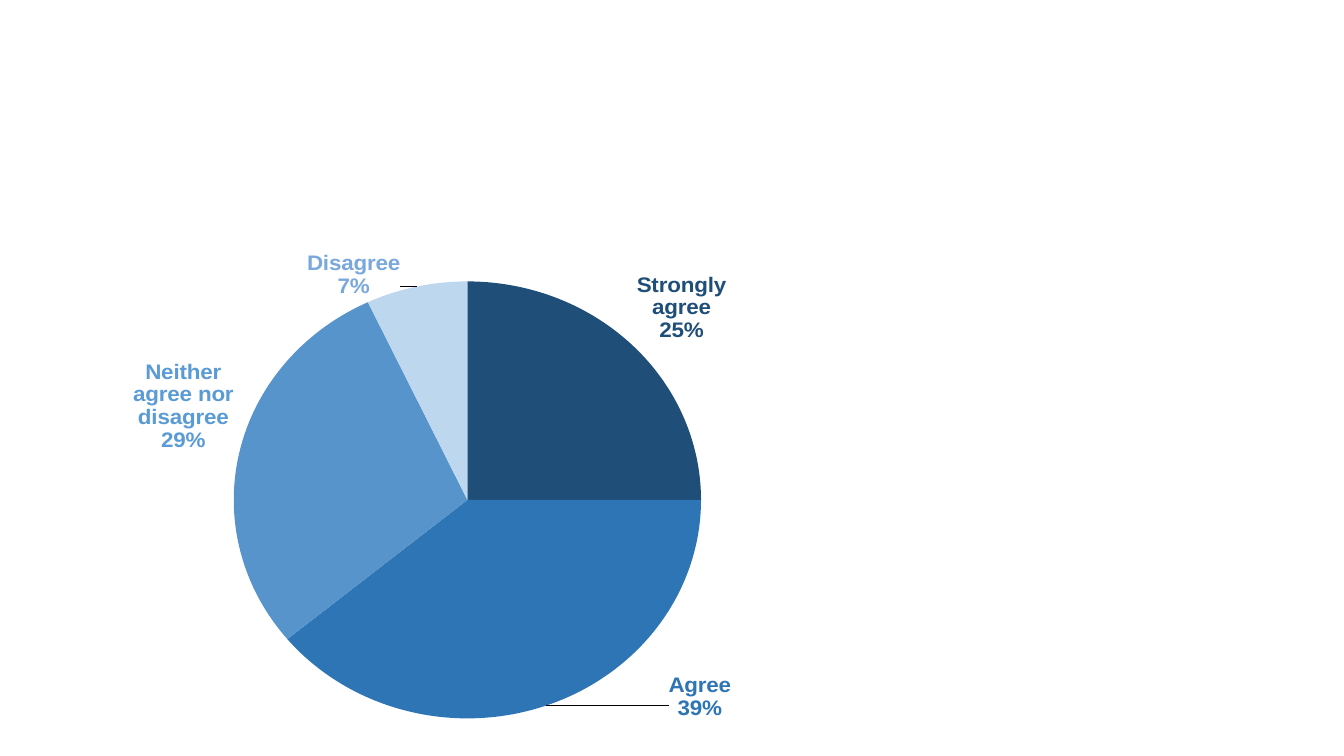
from lxml import etree
from pptx import Presentation
from pptx.chart.data import CategoryChartData
from pptx.dml.color import RGBColor
from pptx.enum import chart as charts
from pptx.oxml import parse_xml
from pptx.oxml.ns import nsdecls, qn
from pptx.util import Inches, Pt

NAVY = RGBColor(0x1F, 0x4E, 0x79)
BLUE = RGBColor(0x2E, 0x75, 0xB6)
MID_BLUE = RGBColor(0x56, 0x94, 0xCB)
PALE_BLUE = RGBColor(0xBD, 0xD7, 0xEE)
ICE_BLUE = RGBColor(0xDE, 0xEB, 0xF7)
LABEL_BLUE = RGBColor(0x5B, 0x9B, 0xD5)
SOFT_BLUE = RGBColor(0x7A, 0xA8, 0xDC)
BLACK = RGBColor(0, 0, 0)

# Answer, percentage, slice colour, label colour, label shift (fractions of the chart)
ANSWERS = [
    ("Strongly agree", 25, NAVY, NAVY, None),
    ("Agree", 39, BLUE, BLUE, (0.16, -0.05)),
    ("Neither agree nor disagree", 29, MID_BLUE, LABEL_BLUE, None),
    ("Disagree", 7, PALE_BLUE, SOFT_BLUE, (-0.02, 0.03)),
    ("Strongly disagree", 0, ICE_BLUE, None, None),
]


def format_font(font, name="Arial", size=16, bold=True, color=LABEL_BLUE):
    font.name, font.size, font.bold = name, Pt(size), bold
    font.color.rgb = color


def manual_layout(**values):
    """Build a c:layout element from its settings."""
    layout = parse_xml(f"<c:layout {nsdecls('c')}><c:manualLayout/></c:layout>")
    for tag, value in values.items():
        etree.SubElement(layout[0], qn(f"c:{tag}")).set("val", str(value))
    return layout


def show_category_and_percent(labels):
    for tag in ("showLegendKey", "showVal", "showCatName", "showSerName", "showPercent"):
        shown = tag in ("showCatName", "showPercent")
        labels.find(qn(f"c:{tag}")).set("val", str(int(shown)))


def format_answer(point, slice_color, label_color, shift):
    point.format.fill.solid()
    point.format.fill.fore_color.rgb = slice_color
    point.format.line.fill.background()
    if label_color is None:
        return
    label = point.data_label
    format_font(label.font, color=label_color)
    label.position = charts.XL_LABEL_POSITION.OUTSIDE_END


def add_answer_pie(slide, left, top, width, height):
    data = CategoryChartData()
    data.categories = [answer[0] for answer in ANSWERS]
    data.add_series("Series 1", [answer[1] for answer in ANSWERS])
    chart = slide.shapes.add_chart(
        charts.XL_CHART_TYPE.PIE, Inches(left), Inches(top),
        Inches(width), Inches(height), data).chart
    chart.has_legend = chart.has_title = False
    format_font(chart.font, name="Noto Sans CJK SC", size=10, bold=False, color=BLACK)

    # Common label format
    plot = chart.plots[0]
    plot.vary_by_categories = True
    series = plot.series[0]
    labels = series.data_labels
    format_font(labels.font)
    labels.show_category_name = labels.show_percentage = True
    labels.show_value = False
    labels.position = charts.XL_LABEL_POSITION.OUTSIDE_END

    # Slices and their own labels
    for index, (_, _, slice_color, label_color, shift) in enumerate(ANSWERS):
        format_answer(series.points[index], slice_color, label_color, shift)
    for label in series.data_labels._element.findall(qn("c:dLbl")):
        show_category_and_percent(label)
        index = label.find(qn("c:idx"))
        shift = ANSWERS[int(index.get("val"))][-1]
        if shift:
            index.addnext(manual_layout(x=shift[0], y=shift[1]))

    # The empty answer has no label
    hidden = parse_xml(f'<c:dLbl {nsdecls("c")}><c:idx val="{len(ANSWERS) - 1}"/>'
                       '<c:delete val="1"/></c:dLbl>')
    series.data_labels._element.findall(qn("c:dLbl"))[-1].addnext(hidden)

    # Pie position inside the chart
    plot_area = chart._chartSpace.chart.plotArea
    for layout in plot_area.findall(qn("c:layout")):
        plot_area.remove(layout)
    plot_area.insert(0, manual_layout(
        layoutTarget="inner", xMode="edge", yMode="edge",
        x=0.188, y=0.178, w=0.623, h=0.821))


def main():
    presentation = Presentation()
    presentation.slide_width, presentation.slide_height = Inches(13.33), Inches(7.5)
    slide = presentation.slides.add_slide(presentation.slide_layouts[6])
    add_answer_pie(slide, 0.92, 1.85, 7.44, 5.65)
    presentation.save("out.pptx")


if __name__ == "__main__":
    main()
